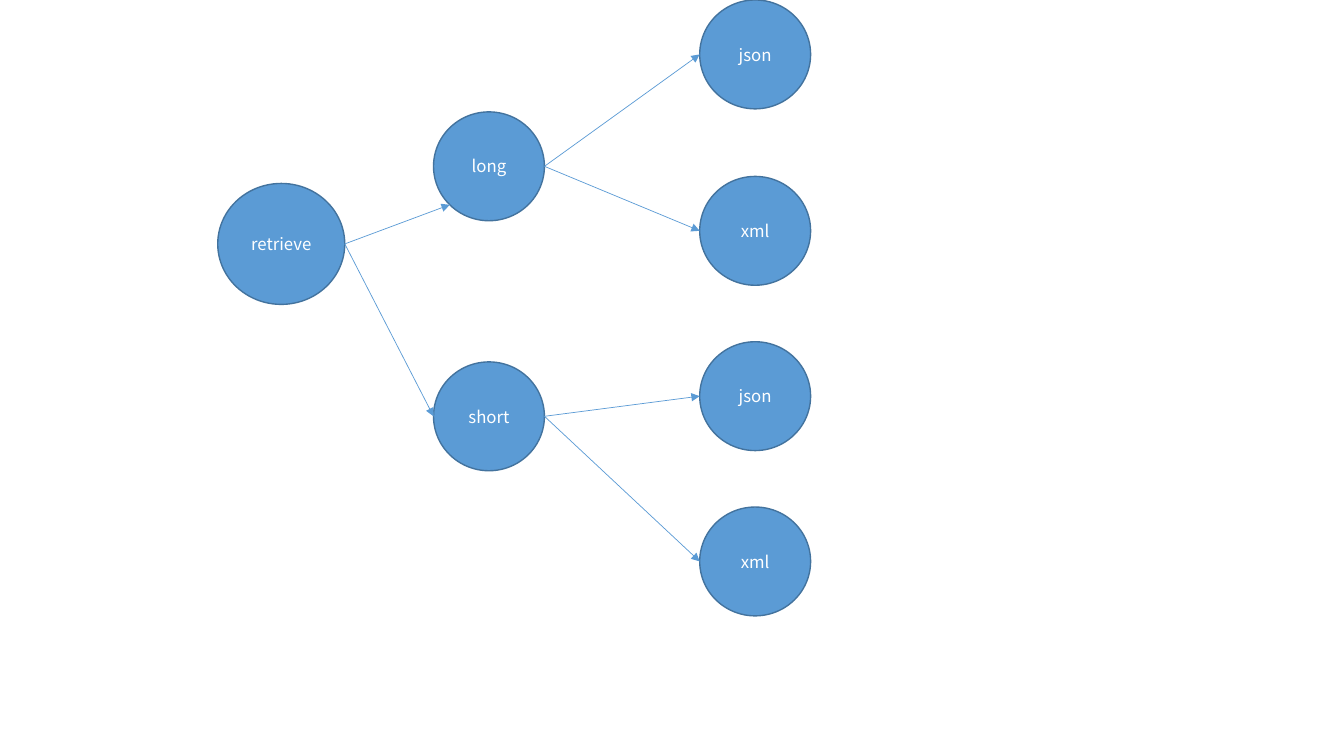
from math import cos, pi, sin

from lxml.etree import SubElement
from pptx import Presentation
from pptx.dml.color import RGBColor
from pptx.enum.shapes import MSO_CONNECTOR, MSO_SHAPE
from pptx.enum.text import MSO_ANCHOR, PP_ALIGN
from pptx.oxml.ns import qn
from pptx.util import Inches, Pt

BLUE = RGBColor(0x5B, 0x9B, 0xD5)
DARK_BLUE = RGBColor(0x43, 0x73, 0x9E)
WHITE = RGBColor(0xFF, 0xFF, 0xFF)
FONT = "Noto Sans CJK KR"

LEFT, LOWER_LEFT, RIGHT = 2, 3, 6
ROOT_SIZE = (1.26, 1.2)
NODE_SIZE = (1.1, 1.08)
ROOT_LEFT, BRANCH_LEFT, FORMAT_LEFT = 0, 2.14, 4.78
ROOT_TOP = 1.82
BRANCHES = [
    ("long", 1.11, LOWER_LEFT, [("json", 0), ("xml", 1.75)]),
    ("short", 3.59, LEFT, [("json", 3.39), ("xml", 5.03)]),
]


def add_node(slide, label, left, top, size):
    width, height = size
    node = slide.shapes.add_shape(
        MSO_SHAPE.OVAL, Inches(left), Inches(top), Inches(width), Inches(height)
    )
    node.shadow.inherit = False
    node.fill.solid()
    node.fill.fore_color.rgb = BLUE
    node.line.color.rgb = DARK_BLUE
    node.line.width = Pt(1)
    frame = node.text_frame
    frame.text = label
    frame.word_wrap = True
    frame.vertical_anchor = MSO_ANCHOR.MIDDLE
    paragraph = frame.paragraphs[0]
    paragraph.alignment = PP_ALIGN.CENTER
    paragraph.font.name = FONT
    paragraph.font.size = Pt(12)
    paragraph.font.color.rgb = WHITE
    return node


def site_point(node, site):
    angle = pi / 2 + site * pi / 4
    x = node.left + node.width / 2 * (1 + cos(angle))
    y = node.top + node.height / 2 * (1 - sin(angle))
    return round(x), round(y)


def add_arrow(slide, parent, child, child_site=LEFT):
    arrow = slide.shapes.add_connector(
        MSO_CONNECTOR.STRAIGHT, *site_point(parent, RIGHT), *site_point(child, child_site)
    )
    arrow.line.color.rgb = BLUE
    arrow.line.width = Pt(0.5)
    SubElement(arrow.line._get_or_add_ln(), qn("a:tailEnd"), type="triangle")
    SubElement(arrow._element.spPr, qn("a:effectLst"))
    joints = arrow._element.find(".//" + qn("p:cNvCxnSpPr"))
    for tag, node, site in (("a:stCxn", parent, RIGHT), ("a:endCxn", child, child_site)):
        SubElement(joints, qn(tag), id=str(node.shape_id), idx=str(site))


def add_tree(slide, left, top):
    root = add_node(slide, "retrieve", left + ROOT_LEFT, top + ROOT_TOP, ROOT_SIZE)
    for label, branch_top, entry_site, formats in BRANCHES:
        branch = add_node(slide, label, left + BRANCH_LEFT, top + branch_top, NODE_SIZE)
        add_arrow(slide, root, branch, entry_site)
        for format_label, format_top in formats:
            leaf = add_node(
                slide, format_label, left + FORMAT_LEFT, top + format_top, NODE_SIZE
            )
            add_arrow(slide, branch, leaf)


def main():
    presentation = Presentation()
    presentation.slide_width = Inches(13.33)
    presentation.slide_height = Inches(7.5)
    slide = presentation.slides.add_slide(presentation.slide_layouts[6])
    add_tree(slide, 2.16, 0)
    presentation.save("out.pptx")


if __name__ == "__main__":
    main()
